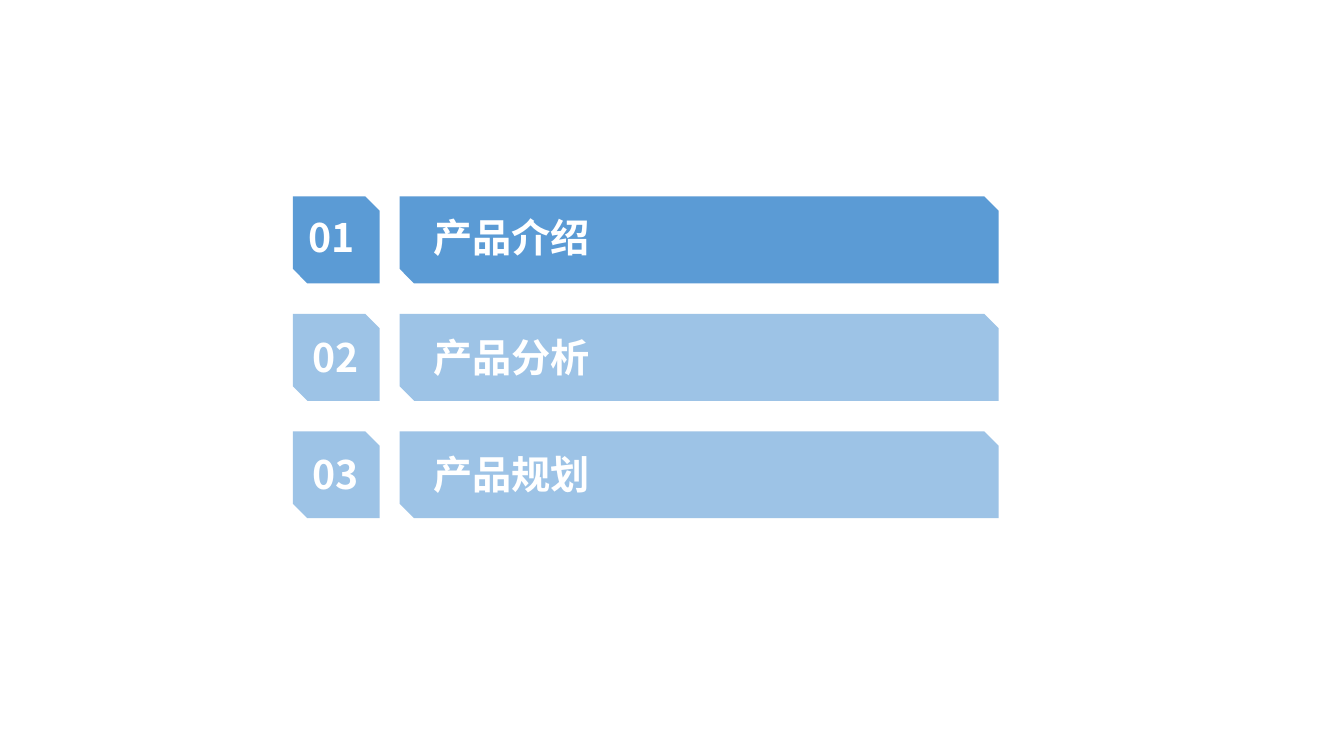
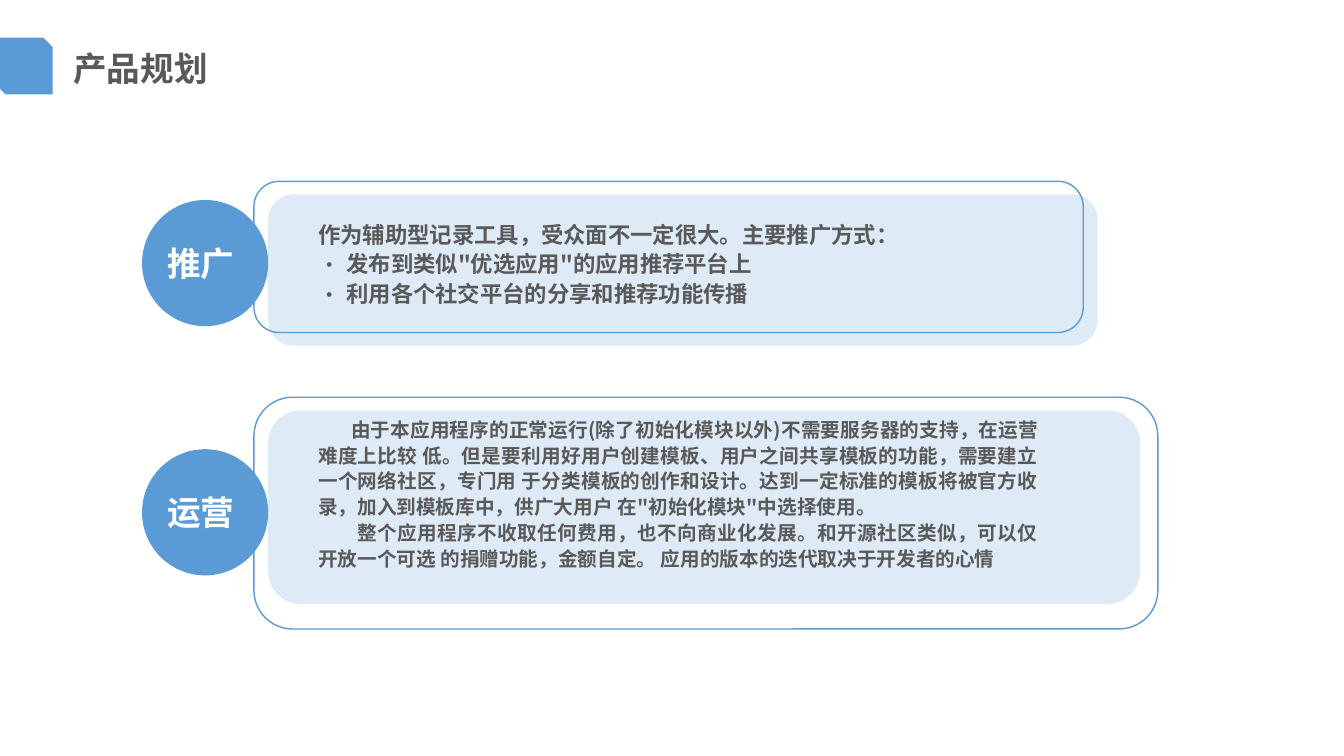
from lxml import etree
from pptx import Presentation
from pptx.dml.color import RGBColor
from pptx.enum.shapes import MSO_SHAPE
from pptx.enum.text import MSO_AUTO_SIZE, PP_ALIGN
from pptx.oxml.ns import qn
from pptx.util import Cm, Pt

SNIPPED = MSO_SHAPE.SNIP_2_DIAG_RECTANGLE
ROUNDED = MSO_SHAPE.ROUNDED_RECTANGLE
OVAL = MSO_SHAPE.OVAL
LEFT, JUSTIFY = PP_ALIGN.LEFT, PP_ALIGN.JUSTIFY
GROW = MSO_AUTO_SIZE.SHAPE_TO_FIT_TEXT

FONT = "Noto Sans CJK SC"
BLUE = RGBColor(0x5B, 0x9B, 0xD5)
SOFT_BLUE = RGBColor(0x9D, 0xC3, 0xE6)
PALE_BLUE = RGBColor(0xDE, 0xEB, 0xF7)
GREY = RGBColor(0x59, 0x59, 0x59)
WHITE = RGBColor(0xFF, 0xFF, 0xFF)

# Agenda rows: number, title, colour, number left, text offset from row top
AGENDA = [
    ("01", "产品介绍", BLUE, 7.52, 0.31),
    ("02", "产品分析", SOFT_BLUE, 7.62, 0.37),
    ("03", "产品规划", SOFT_BLUE, 7.62, 0.35),
]
ROW_TOP, ROW_PITCH, ROW_HEIGHT = 4.95, 2.96, 2.19

PLAN_TITLE = "产品规划"
# Paragraphs: text, first-line indent in cm, bulleted
# Boxes: left, top, width, height in cm
PLAN_CARDS = [
    {
        "label": "推广",
        "panel": (6.76, 4.9, 20.9, 3.81),
        "outline": (6.4, 4.57, 20.9, 3.81),
        "disc_top": 5.04,
        "body": (7.77, 5.38, 18.64, 2.51),
        "size": 16,
        "paragraphs": [
            ("作为辅助型记录工具，受众面不一定很大。主要推广方式：", 0, False),
            ("发布到类似\"优选应用\"的应用推荐平台上", 0, True),
            ("利用各个社交平台的分享和推荐功能传播", 0, True),
        ],
    },
    {
        "label": "运营",
        "panel": (6.76, 10.34, 21.97, 4.88),
        "outline": (6.4, 10.01, 22.78, 5.84),
        "disc_top": 11.32,
        "body": (7.77, 10.34, 18.64, 4.19),
        "size": 14,
        "paragraphs": [
            ("由于本应用程序的正常运行(除了初始化模块以外)不需要服务器的支持，"
             "在运营难度上比较 低。但是要利用好用户创建模板、用户之间共享模板的功能，"
             "需要建立一个网络社区，专门用 于分类模板的创作和设计。"
             "达到一定标准的模板将被官方收录，加入到模板库中，"
             "供广大用户 在\"初始化模块\"中选择使用。", 0.83, False),
            ("整个应用程序不收取任何费用，也不向商业化发展。和开源社区类似，"
             "可以仅开放一个可选 的捐赠功能，金额自定。 "
             "应用的版本的迭代取决于开发者的心情", 1, False),
        ],
    },
]
DISC_LEFT, DISC_SIZE = 3.58, 3.18
BULLET_INDENT = 0.71


def add_block(slide, kind, box, fill=None, line=None):
    """Add a flat preset shape with an optional fill and outline."""
    shape = slide.shapes.add_shape(kind, *map(Cm, box))
    shape.shadow.inherit = False
    if fill is None:
        shape.fill.background()
    else:
        shape.fill.solid()
        shape.fill.fore_color.rgb = fill
    if line is None:
        shape.line.fill.background()
    else:
        shape.line.color.rgb = line
        shape.line.width = Pt(1)


def style_paragraph(paragraph, size, color, alignment=LEFT):
    """Set the shared bold font for Latin and Chinese text."""
    paragraph.alignment = alignment
    font = paragraph.font
    font.name, font.size, font.bold = FONT, Pt(size), True
    font.color.rgb = color
    defaults = paragraph._p.pPr.find(qn("a:defRPr"))
    etree.SubElement(defaults, qn("a:ea"), typeface=FONT)


def indent_paragraph(paragraph, first_line, bulleted):
    """Indent the first line, or hang the paragraph from a bullet."""
    properties = paragraph._p.pPr
    if bulleted:
        properties.set("marL", str(Cm(BULLET_INDENT)))
        properties.set("indent", str(-Cm(BULLET_INDENT)))
        defaults = properties.find(qn("a:defRPr"))
        for tag, name, value in (("a:buFont", "typeface", FONT),
                                 ("a:buChar", "char", "•")):
            mark = etree.Element(qn(tag))
            mark.set(name, value)
            defaults.addprevious(mark)
    else:
        properties.set("indent", str(Cm(first_line)))


def add_text_box(slide, box, wrap):
    """Add a growing text box and return its text frame."""
    frame = slide.shapes.add_textbox(*map(Cm, box)).text_frame
    frame.word_wrap = wrap
    frame.auto_size = GROW
    return frame


def add_label(slide, text, box, size, color, wrap=False):
    """Add a one-line label."""
    paragraph = add_text_box(slide, box, wrap).paragraphs[0]
    paragraph.text = text
    style_paragraph(paragraph, size, color)


def add_body(slide, box, size, paragraphs):
    """Add justified body text."""
    frame = add_text_box(slide, box, True)
    for index, (text, first_line, bulleted) in enumerate(paragraphs):
        paragraph = frame.add_paragraph() if index else frame.paragraphs[0]
        paragraph.text = text
        paragraph.line_spacing = 1.1
        style_paragraph(paragraph, size, GREY, JUSTIFY)
        indent_paragraph(paragraph, first_line, bulleted)


def add_title(slide, text):
    """Add the page title and the tab at the left edge."""
    add_block(slide, SNIPPED, (-0.1, 0.95, 1.43, 1.43), BLUE)
    add_label(slide, text, (1.6, 1.09, 3.89, 1.27), 24, GREY)


def build_agenda(slide):
    """Draw the numbered agenda rows."""
    for index, (number, title, color, number_left, offset) in enumerate(AGENDA):
        top = ROW_TOP + index * ROW_PITCH
        add_block(slide, SNIPPED, (7.38, top, ROW_HEIGHT, ROW_HEIGHT), color)
        add_block(slide, SNIPPED, (10.07, top, 15.1, ROW_HEIGHT), color)
        text_top = top + offset
        add_label(slide, number, (number_left, text_top, 1.73, 1.45), 28, WHITE)
        add_label(slide, title, (10.67, text_top, 4.47, 1.45), 28, WHITE)


def build_plan(slide):
    """Draw the plan cards, each led by a labelled disc."""
    add_title(slide, PLAN_TITLE)
    for card in PLAN_CARDS:
        disc_top = card["disc_top"]
        add_block(slide, ROUNDED, card["panel"], PALE_BLUE)
        add_block(slide, ROUNDED, card["outline"], line=BLUE)
        add_block(slide, OVAL, (DISC_LEFT, disc_top, DISC_SIZE, DISC_SIZE), BLUE)
        add_label(slide, card["label"], (3.96, disc_top + 0.95, 2.79, 1.27),
                  24, WHITE, wrap=True)
        add_body(slide, card["body"], card["size"], card["paragraphs"])


presentation = Presentation()
presentation.slide_width, presentation.slide_height = Cm(33.87), Cm(19.05)
blank_layout = presentation.slide_layouts[6]
for build in (build_agenda, build_plan):
    build(presentation.slides.add_slide(blank_layout))
presentation.save("out.pptx")
